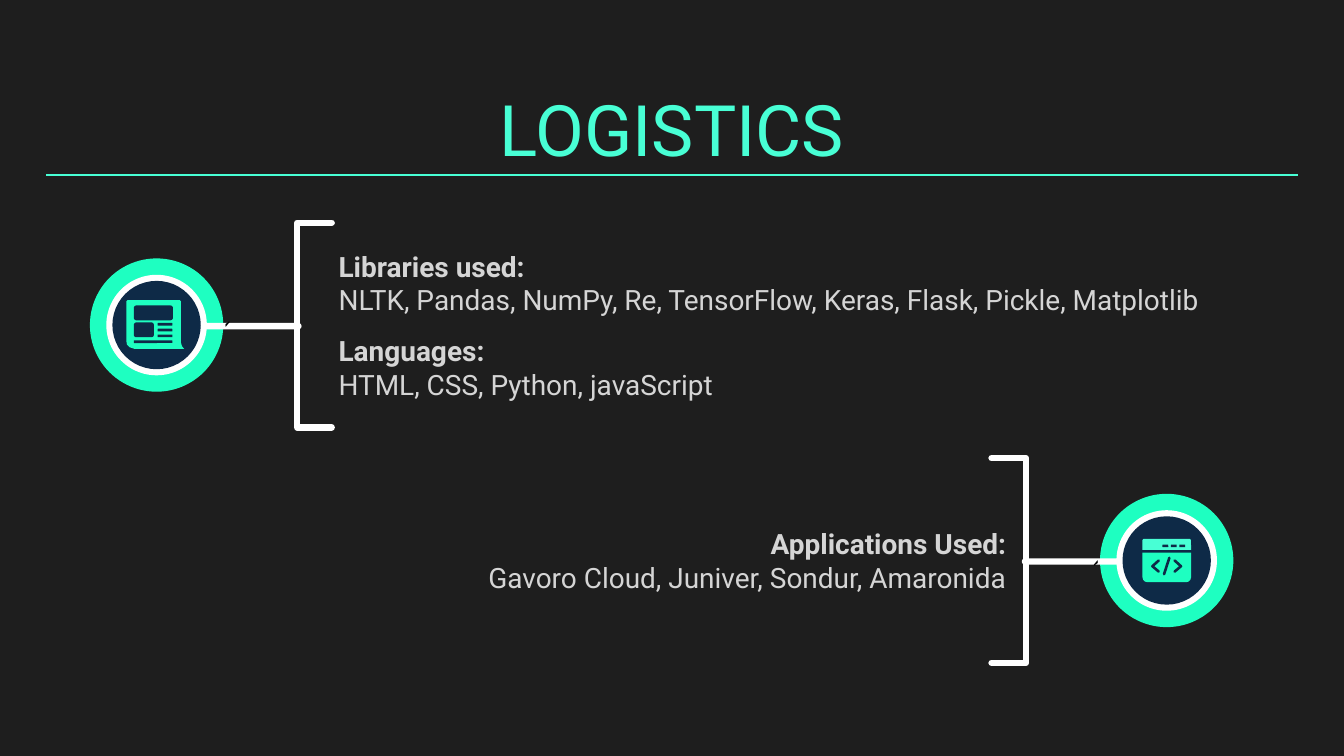
import pptx
import pptx.dml.color
import pptx.enum.shapes
import pptx.enum.text
import pptx.util
import lxml.etree
from pptx.util import Cm

RGBColor = pptx.dml.color.RGBColor
Shape = pptx.enum.shapes.MSO_SHAPE
Align = pptx.enum.text.PP_ALIGN
Anchor = pptx.enum.text.MSO_ANCHOR

BACKGROUND = RGBColor(0x1E, 0x1E, 0x1E)
AQUA = RGBColor(0x48, 0xFF, 0xD5)
MINT = RGBColor(0x1E, 0xFF, 0xC1)
NAVY = RGBColor(0x0E, 0x2A, 0x47)
WHITE = RGBColor(0xFF, 0xFF, 0xFF)
BLACK = RGBColor(0, 0, 0)
GREY = RGBColor(0xD5, 0xD5, 0xD5)
DRAWING = "http://schemas.openxmlformats.org/drawingml/2006/main"


def paint(shape, color):
    """Fill a shape with a plain colour, without outline or shadow."""
    shape.shadow.inherit = False
    shape.fill.solid()
    shape.fill.fore_color.rgb = color
    shape.line.fill.background()


def add_block(page, kind, box, color):
    """Add a plain preset shape in a box given in centimetres."""
    shape = page.shapes.add_shape(kind, *map(Cm, box))
    paint(shape, color)
    return shape


def outline(page, origin, points, closed):
    """Build a freeform from centimetre points around an origin."""
    x, y = origin
    corners = [(Cm(x + dx), Cm(y + dy)) for dx, dy in points]
    builder = page.shapes.build_freeform(*corners[0])
    builder.add_line_segments(corners[1:], close=closed)
    return builder.convert_to_shape()


def add_stroke(page, origin, points, color, width):
    """Draw an open line with round ends and joins."""
    shape = outline(page, origin, points, False)
    shape.shadow.inherit = False
    shape.fill.background()
    shape.line.color.rgb = color
    shape.line.width = pptx.util.Pt(width)
    line = shape.line._get_or_add_ln()
    line.set("cap", "rnd")
    lxml.etree.SubElement(line, f"{{{DRAWING}}}round")


def add_span(para, text, font, size, color, bold=False):
    """Append one formatted run to a paragraph."""
    span = para.add_run()
    span.text = text
    span.font.name = font
    span.font.size = pptx.util.Pt(size)
    span.font.bold = bold
    span.font.color.rgb = color


def set_frame(frame, anchor):
    """Give a text frame its wrapping, margins and anchor."""
    frame.word_wrap = True
    frame.auto_size = pptx.enum.text.MSO_AUTO_SIZE.NONE
    frame.vertical_anchor = anchor
    frame.margin_left = frame.margin_right = Cm(0.25)
    frame.margin_top = frame.margin_bottom = Cm(0.25)


def add_heading(page, box, text):
    """Place the title and the rule beneath it."""
    left, top, width, height = box
    title = page.shapes.title
    title.left, title.top, title.width, title.height = map(Cm, box)
    set_frame(title.text_frame, Anchor.BOTTOM)
    para = title.text_frame.paragraphs[0]
    para.alignment = Align.CENTER
    add_span(para, text, "Roboto", 38, AQUA)
    level = top + height - 0.17
    rule = page.shapes.add_connector(
        pptx.enum.shapes.MSO_CONNECTOR.STRAIGHT,
        Cm(left), Cm(level), Cm(left + width), Cm(level))
    rule.line.color.rgb = AQUA
    rule.line.width = pptx.util.Pt(0.75)
    lxml.etree.SubElement(rule._element.spPr, f"{{{DRAWING}}}effectLst")


def add_newspaper(page, center):
    """Draw a newspaper icon around a centre."""
    x, y = center
    sheet = [(-0.55, -0.47), (0.44, -0.47), (0.46, -0.45), (0.46, 0.33),
             (0.48, 0.4), (0.52, 0.45), (-0.42, 0.45), (-0.51, 0.42),
             (-0.56, 0.37), (-0.57, 0.31), (-0.57, -0.45)]
    paint(outline(page, center, sheet, True), MINT)
    columns = [(0.02, dy, 0.28, 0.05) for dy in (-0.04, 0.07, 0.18)]
    for dx, dy, width, height in [(-0.43, -0.37, 0.74, 0.28),
                                  (-0.43, -0.05, 0.38, 0.28),
                                  (-0.43, 0.29, 0.73, 0.05), *columns]:
        add_block(page, Shape.ROUNDED_RECTANGLE,
                  (x + dx, y + dy, width, height), NAVY)


def add_code_window(page, center):
    """Draw a code window icon around a centre."""
    x, y = center
    add_block(page, Shape.ROUND_2_SAME_RECTANGLE,
              (x - 0.46, y - 0.41, 0.92, 0.21), AQUA)
    pane = add_block(page, Shape.ROUND_2_SAME_RECTANGLE,
                     (x - 0.46, y - 0.15, 0.92, 0.56), MINT)
    pane.rotation = 180
    for index in range(3):
        add_block(page, Shape.ROUNDED_RECTANGLE,
                  (x - 0.08 + 0.16 * index, y - 0.3, 0.11, 0.05), NAVY)
    for side in (-1, 1):
        chevron = [(side * 0.15, 0), (side * 0.27, 0.11), (side * 0.15, 0.21)]
        add_stroke(page, center, chevron, NAVY, 1.4)
    add_stroke(page, center, [(0.05, -0.05), (-0.05, 0.26)], NAVY, 1.4)


def add_section(page, box, side, text_gap, add_icon, groups):
    """Place a medallion, its bracket and text; side is 1 from the left, -1 from the right."""
    left, top, width, height = box
    middle = top + height / 2
    edge = left if side == 1 else left + width
    spine = edge + side * 3.93
    center = (edge + side * 1.27, middle)
    reach = height / 2 - 0.06
    bracket = [(side * 0.65, -reach), (0, -reach), (0, reach), (side * 0.65, reach)]
    add_stroke(page, (spine, middle), bracket, WHITE, 3.4)

    def add_disc(size, color):
        """Add a disc on the medallion's centre."""
        add_block(page, Shape.OVAL,
                  (center[0] - size / 2, middle - size / 2, size, size), color)

    add_disc(2.52, MINT)
    stem = add_block(page, Shape.ROUNDED_RECTANGLE,
                     (edge + side * 2.74 - 0.06, middle - 1.25, 0.12, 2.54), WHITE)
    stem.adjustments[0] = 0.5
    stem.rotation = -side * 90 % 360
    set_frame(stem.text_frame, Anchor.MIDDLE)
    stem.text_frame.paragraphs[0].alignment = Align.LEFT
    add_span(stem.text_frame.paragraphs[0], "`", "Arial", 14, BLACK)
    add_disc(1.9, WHITE)
    add_disc(1.67, NAVY)
    add_icon(page, center)

    text_width = 17.98
    near = spine + side * text_gap
    text_left = near if side == 1 else near - text_width
    text_box = page.shapes.add_textbox(
        Cm(text_left), Cm(top), Cm(text_width), Cm(height))
    frame = text_box.text_frame
    set_frame(frame, Anchor.MIDDLE)
    for index, lines in enumerate(groups):
        for row, line in enumerate(lines):
            first = index == 0 and row == 0
            para = frame.paragraphs[0] if first else frame.add_paragraph()
            para.alignment = Align.LEFT if side == 1 else Align.RIGHT
            if index and row == 0:
                para.space_before = pptx.util.Pt(9.4)
            add_span(para, line, "Roboto", 15, GREY, bold=row == 0)


def main():
    """Build the deck and save it."""
    deck = pptx.Presentation()
    deck.slide_width, deck.slide_height = Cm(25.4), Cm(14.29)
    page = deck.slides.add_slide(deck.slide_layouts[5])
    page.background.fill.solid()
    page.background.fill.fore_color.rgb = BACKGROUND
    add_heading(page, (0.87, 1.8, 23.66, 1.68), "LOGISTICS")
    add_section(page, (1.69, 4.15, 22.44, 3.99), 1, 0.53, add_newspaper, [
        ("Libraries used:",
         "NLTK, Pandas, NumPy, Re, TensorFlow, Keras, Flask, Pickle, Matplotlib"),
        ("Languages:", "HTML, CSS, Python, javaScript")])
    add_section(page, (1.27, 8.6, 22.05, 3.99), -1, 0.12, add_code_window, [
        ("Applications Used:", "Gavoro Cloud, Juniver, Sondur, Amaronida")])
    deck.save("out.pptx")


if __name__ == "__main__":
    main()
